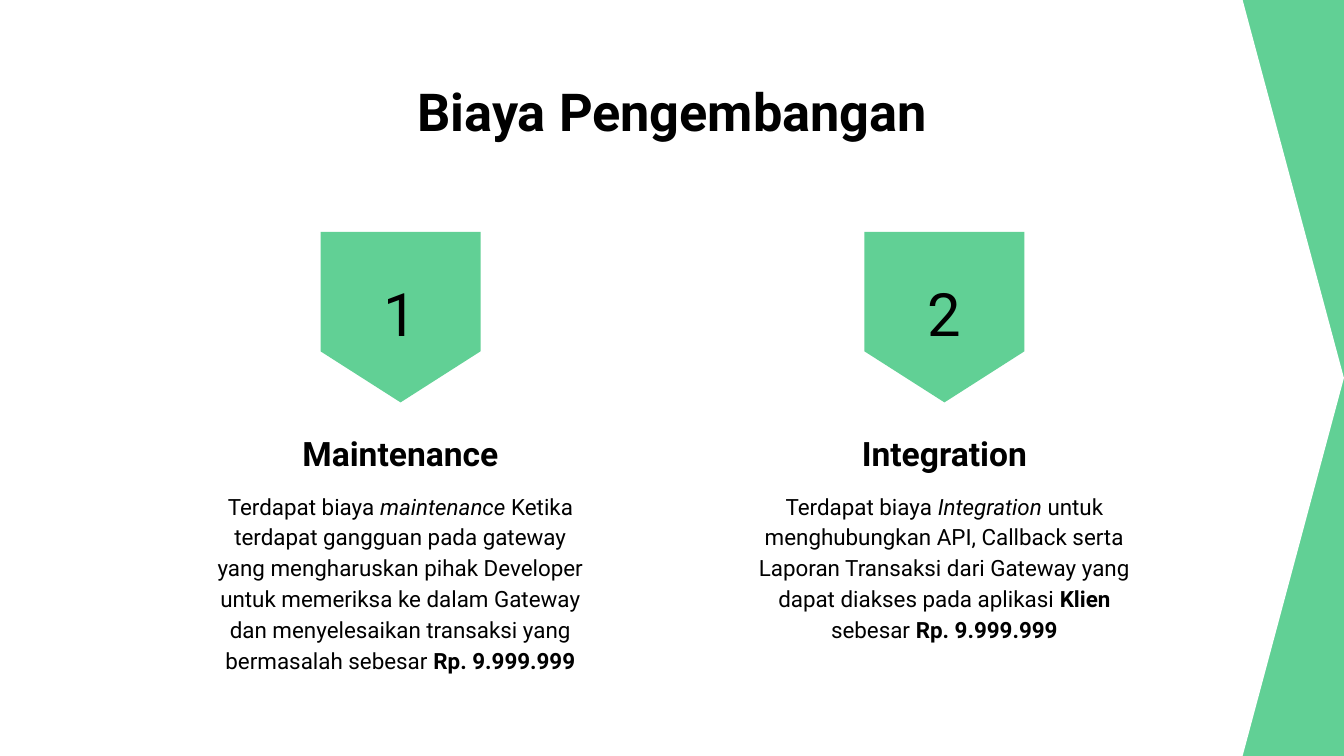
from pptx import Presentation
from pptx.dml.color import RGBColor
from pptx.enum import shapes, text
from pptx.util import Pt

COLORS = {"green": "61D095", "white": "FFFFFF", "black": "000000"}
FONT = "Roboto"
WIDTH, HEIGHT = 720, 405
COLUMN_LEFT, COLUMN_TOP, COLUMN_WIDTH, COLUMN_PITCH = 104.4, 124.2, 220.3, 291.4
BADGE_LENGTH, BADGE_WIDTH = 91.4, 85.7
COLUMNS = [
    ("Maintenance", [
        ("Terdapat biaya ", ""),
        ("maintenance", "i"),
        (" Ketika terdapat gangguan pada gateway yang mengharuskan pihak Developer "
         "untuk memeriksa ke dalam Gateway dan menyelesaikan transaksi yang "
         "bermasalah sebesar ", ""),
        ("Rp. 9.999.999", "b"),
    ]),
    ("Integration", [
        ("Terdapat biaya ", ""),
        ("Integration ", "i"),
        ("untuk menghubungkan API, Callback serta Laporan Transaksi dari Gateway "
         "yang dapat diakses pada aplikasi ", ""),
        ("Klien ", "b"),
        ("sebesar ", ""),
        ("Rp. 9.999.999", "b"),
    ]),
]


def color(name):
    """Return the named palette colour."""
    return RGBColor.from_string(COLORS[name])


def add_pentagon(slide, box, fill, point, rotation=0):
    """Add a plain pentagon arrow with the given point depth."""
    shape = slide.shapes.add_shape(shapes.MSO_SHAPE.PENTAGON, *map(Pt, box))
    shape.shadow.inherit = False
    shape.fill.solid()
    shape.fill.fore_color.rgb = color(fill)
    shape.line.fill.background()
    shape.adjustments[0] = point
    shape.rotation = rotation


def add_text(slide, box, runs, size, spacing=1.0, anchor=text.MSO_ANCHOR.TOP):
    """Add one centred paragraph of (wording, style) runs."""
    frame = slide.shapes.add_textbox(*map(Pt, box)).text_frame
    frame.word_wrap = True
    frame.vertical_anchor = anchor
    frame.margin_left = frame.margin_right = Pt(7.2)
    frame.margin_top = frame.margin_bottom = Pt(7.2)
    paragraph = frame.paragraphs[0]
    paragraph.alignment = text.PP_ALIGN.CENTER
    paragraph.line_spacing = spacing
    for wording, style in runs:
        run = paragraph.add_run()
        run.text = wording
        run.font.name = FONT
        run.font.size = Pt(size)
        run.font.bold = style == "b"
        run.font.italic = style == "i"
        run.font.color.rgb = color("black")


def add_backdrop(slide, box):
    """Lay a white arrow panel over the green background."""
    slide.background.fill.solid()
    slide.background.fill.fore_color.rgb = color("green")
    add_pentagon(slide, box, "white", 0.134)


def add_cost_column(slide, left, top, width, number, heading, body):
    """Stack a numbered badge, a heading and a description."""
    center = left + width / 2
    badge = (center - BADGE_LENGTH / 2, top + (BADGE_LENGTH - BADGE_WIDTH) / 2,
             BADGE_LENGTH, BADGE_WIDTH)
    add_pentagon(slide, badge, "green", 0.319, 90)
    add_text(slide, (center - 21, top + 22.3, 42, 42), [(str(number), "")], 32,
             anchor=text.MSO_ANCHOR.MIDDLE)
    add_text(slide, (left, top + 97.3, width, 45.4), [(heading, "b")], 18, 1.15)
    add_text(slide, (left, top + 130.4, width, 115.2), body, 12, 1.15)


def main():
    """Build the development cost slide."""
    presentation = Presentation()
    presentation.slide_width, presentation.slide_height = Pt(WIDTH), Pt(HEIGHT)
    slide = presentation.slides.add_slide(presentation.slide_layouts[6])
    add_backdrop(slide, (0, 0, WIDTH, HEIGHT))
    add_text(slide, (56.2, 35.3, 607.6, 45.4), [("Biaya Pengembangan", "b")], 28)
    for index, (heading, body) in enumerate(COLUMNS):
        add_cost_column(slide, COLUMN_LEFT + index * COLUMN_PITCH, COLUMN_TOP,
                        COLUMN_WIDTH, index + 1, heading, body)
    presentation.save("out.pptx")


if __name__ == "__main__":
    main()
